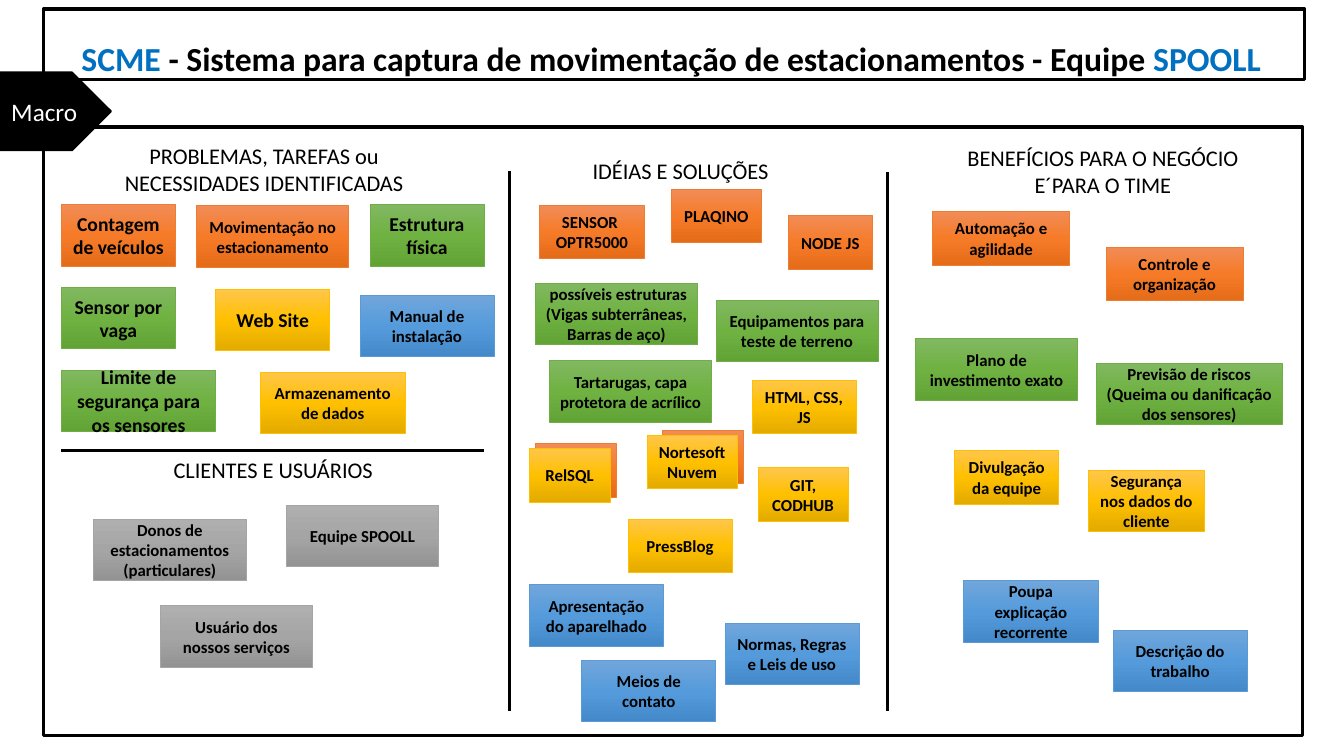
from copy import deepcopy
from dataclasses import dataclass

from pptx import Presentation
from pptx.dml.color import RGBColor
from pptx.enum.shapes import MSO_CONNECTOR, MSO_SHAPE
from pptx.enum.text import MSO_ANCHOR as Anchor, PP_ALIGN as Align
from pptx.oxml.ns import qn
from pptx.oxml.xmlchemy import OxmlElement
from pptx.shapes.autoshape import Shape
from pptx.slide import Slide
from pptx.text.text import Font
from pptx.util import Inches, Pt

BLACK, WHITE, BLUE = "000000", "FFFFFF", "0070C0"


@dataclass
class Palette:
    border: str
    gradient: tuple[str, str, str]


@dataclass
class Note:
    text: str
    left: float
    top: float
    width: float
    height: float = 0.61
    size: int = 12


@dataclass
class Heading:
    text: str
    left: float
    top: float
    width: float
    height: float


@dataclass
class Divider:
    start: tuple[float, float]
    end: tuple[float, float]


ORANGE = Palette("ED7D31", ("F18C57", "F67B28", "E56C19"))
GREEN = Palette("70AD47", ("81B861", "6FB242", "62A336"))
YELLOW = Palette("FFC000", ("FFC64B", "FFC000", "E3AB00"))
SKY = Palette("5B9BD5", ("71A6DB", "559BDB", "448ACA"))
GRAY = Palette("A5A5A5", ("AFAFAF", "A5A5A5", "939393"))

FRAMES = [(0.43, 0.09, 12.51, 0.7), (0.43, 1.26, 12.49, 6.04)]

HEADINGS = [
    Heading("PROBLEMAS, TAREFAS ou NECESSIDADES IDENTIFICADAS", 0.92, 1.36, 3.4, 0.64),
    Heading("CLIENTES E USUÁRIOS", 1.01, 4.48, 3.4, 0.37),
    Heading("IDÉIAS E SOLUÇÕES", 5.05, 1.51, 3.4, 0.37),
    Heading("BENEFÍCIOS PARA O NEGÓCIO E´PARA O TIME", 9.46, 1.38, 2.96, 0.64),
]

DIVIDERS = [
    Divider((5.05, 1.7), (5.05, 7.05)),
    Divider((8.8, 1.71), (8.8, 7.05)),
    Divider((0.61, 4.47), (4.8, 4.47)),
]

TITLE = [
    ("SCME ", BLUE),
    ("- Sistema para captura de movimentação de estacionamentos - Equipe ", BLACK),
    ("SPOOLL", BLUE),
]

# The blank orange notes lie behind yellow ones, so orange comes first.
NOTE_GROUPS = [
    (ORANGE, [
        Note("", 6.57, 4.27, 0.8, 0.53),
        Note("", 5.31, 4.4, 0.8, 0.53),
        Note("Contagem de veículos", 0.61, 2.03, 1.13, size=14),
        Note("Movimentação no estacionamento", 1.95, 2.04, 1.51),
        Note("SENSOR \nOPTR5000", 5.35, 2.04, 1.04, 0.52),
        Note("PLAQINO", 6.66, 1.88, 0.89, 0.52),
        Note("NODE JS", 7.82, 2.14, 0.83, 0.53),
        Note("Automação e agilidade", 9.25, 2.1, 1.36, 0.53),
        Note("Controle e organização", 10.97, 2.45, 1.36, 0.53),
    ]),
    (GREEN, [
        Note("Sensor por vaga", 0.61, 2.85, 1.13, size=14),
        Note("Estrutura física", 3.67, 2.03, 1.13, size=14),
        Note("Limite de segurança para os sensores", 0.61, 3.67, 1.53, size=14),
        Note(" possíveis estruturas\n(Vigas subterrâneas, Barras de aço)", 5.31, 2.81, 1.61),
        Note("Equipamentos para teste de terreno", 7.1, 2.98, 1.61),
        Note("Tartarugas, capa protetora de acrílico", 5.45, 3.58, 1.61),
        Note("Plano de investimento exato", 9.08, 3.36, 1.61),
        Note("Previsão de riscos (Queima ou danificação dos sensores)", 10.87, 3.6, 1.85),
    ]),
    (YELLOW, [
        Note("Web Site", 2.14, 2.87, 1.13, size=14),
        Note("Armazenamento de dados", 2.58, 3.69, 1.44),
        Note("Nortesoft Nuvem", 6.42, 4.32, 0.89, 0.53),
        Note("PressBlog", 6.23, 5.15, 1.03, 0.53),
        Note("HTML, CSS, JS", 7.46, 3.77, 1.03, 0.53),
        Note("GIT, CODHUB", 7.52, 4.64, 0.89, 0.53),
        Note("RelSQL", 5.25, 4.45, 0.8, 0.53),
        Note("Divulgação da equipe", 9.47, 4.47, 1.03, 0.53),
        Note("Segurança nos dados do cliente", 10.79, 4.67, 1.16, 0.6),
    ]),
    (SKY, [
        Note("Manual de instalação", 3.57, 2.93, 1.33),
        Note("Apresentação do aparelhado", 5.25, 5.8, 1.33),
        Note("Normas, Regras e Leis de uso", 7.19, 6.18, 1.33),
        Note("Meios de contato", 5.77, 6.55, 1.33),
        Note("Poupa explicação recorrente", 9.56, 5.76, 1.33),
        Note("Descrição do trabalho", 11.04, 6.25, 1.33),
    ]),
    (GRAY, [
        Note("Donos de estacionamentos (particulares)", 0.93, 5.15, 1.51),
        Note("Usuário dos nossos serviços", 1.59, 6.01, 1.51),
        Note("Equipe SPOOLL", 2.84, 5.01, 1.51),
    ]),
]


def color(value: str) -> RGBColor:
    return RGBColor.from_string(value)


def style_font(font: Font, size: int, value: str, bold: bool = False) -> None:
    font.name, font.size, font.bold = "Calibri", Pt(size), bold
    font.color.rgb = color(value)


def write_centered(shape: Shape, text: str, size: int, value: str, bold: bool = False) -> None:
    frame = shape.text_frame
    frame.word_wrap = True
    frame.text = text
    for paragraph in frame.paragraphs:
        paragraph.alignment = Align.CENTER
        style_font(paragraph.font, size, value, bold)


def add_outlined(slide: Slide, kind: MSO_SHAPE, box: tuple[float, ...],
                 border: str, weight: float) -> Shape:
    shape = slide.shapes.add_shape(kind, *map(Inches, box))
    shape.shadow.inherit = False
    shape.line.color.rgb = color(border)
    shape.line.width = Pt(weight)
    shape.text_frame.vertical_anchor = Anchor.MIDDLE
    return shape


def fill_gradient(shape: Shape, values: tuple[str, str, str]) -> None:
    """Fill from top to bottom with three evenly spaced stops."""
    shape.fill.gradient()
    shape.fill.gradient_angle = 270
    stop_list = shape.element.spPr.find(qn("a:gradFill")).find(qn("a:gsLst"))
    stop_list.append(deepcopy(stop_list[-1]))
    for index, (stop, value) in enumerate(zip(shape.fill.gradient_stops, values)):
        stop.position = index / 2
        stop.color.rgb = color(value)


def add_note(slide: Slide, note: Note, palette: Palette) -> None:
    box = (note.left, note.top, note.width, note.height)
    shape = add_outlined(slide, MSO_SHAPE.RECTANGLE, box, palette.border, 0.5)
    fill_gradient(shape, palette.gradient)
    if note.text:
        write_centered(shape, note.text, note.size, BLACK, bold=True)


def add_heading(slide: Slide, heading: Heading) -> None:
    box = (heading.left, heading.top, heading.width, heading.height)
    write_centered(slide.shapes.add_textbox(*map(Inches, box)), heading.text, 16, BLACK)


def add_divider(slide: Slide, divider: Divider) -> None:
    ends = map(Inches, divider.start + divider.end)
    line = slide.shapes.add_connector(MSO_CONNECTOR.STRAIGHT, *ends)
    line.line.color.rgb = color(BLACK)
    line.line.width = Pt(2.25)
    line.element.spPr.append(OxmlElement("a:effectLst"))


def add_title(slide: Slide) -> None:
    box = slide.shapes.add_textbox(*map(Inches, (0.71, 0.33, 12.23, 0.5)))
    box.text_frame.word_wrap = True
    paragraph = box.text_frame.paragraphs[0]
    for text, value in TITLE:
        run = paragraph.add_run()
        run.text = text
        style_font(run.font, 24, value, bold=True)


def main() -> None:
    presentation = Presentation()
    presentation.slide_width, presentation.slide_height = Inches(13.33), Inches(7.5)
    slide = presentation.slides.add_slide(presentation.slide_layouts[6])
    for box in FRAMES:
        add_outlined(slide, MSO_SHAPE.RECTANGLE, box, BLACK, 2.25).fill.background()
    for heading in HEADINGS:
        add_heading(slide, heading)
    for divider in DIVIDERS:
        add_divider(slide, divider)
    add_title(slide)
    for palette, notes in NOTE_GROUPS:
        for note in notes:
            add_note(slide, note, palette)
    tab = add_outlined(slide, MSO_SHAPE.PENTAGON, (-0.03, 0.72, 1.13, 0.77), BLACK, 1.5)
    tab.fill.solid()
    tab.fill.fore_color.rgb = color(BLACK)
    write_centered(tab, "Macro", 18, WHITE)
    presentation.save("out.pptx")


if __name__ == "__main__":
    main()
